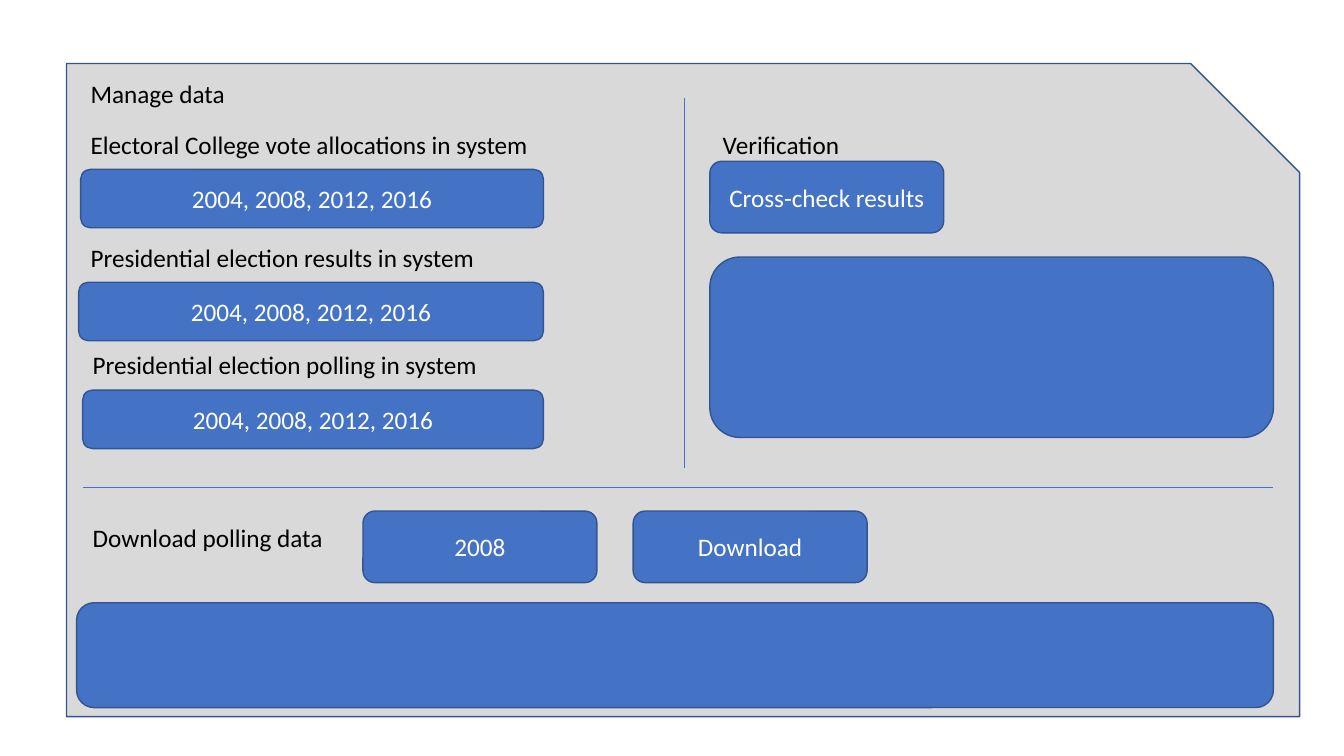
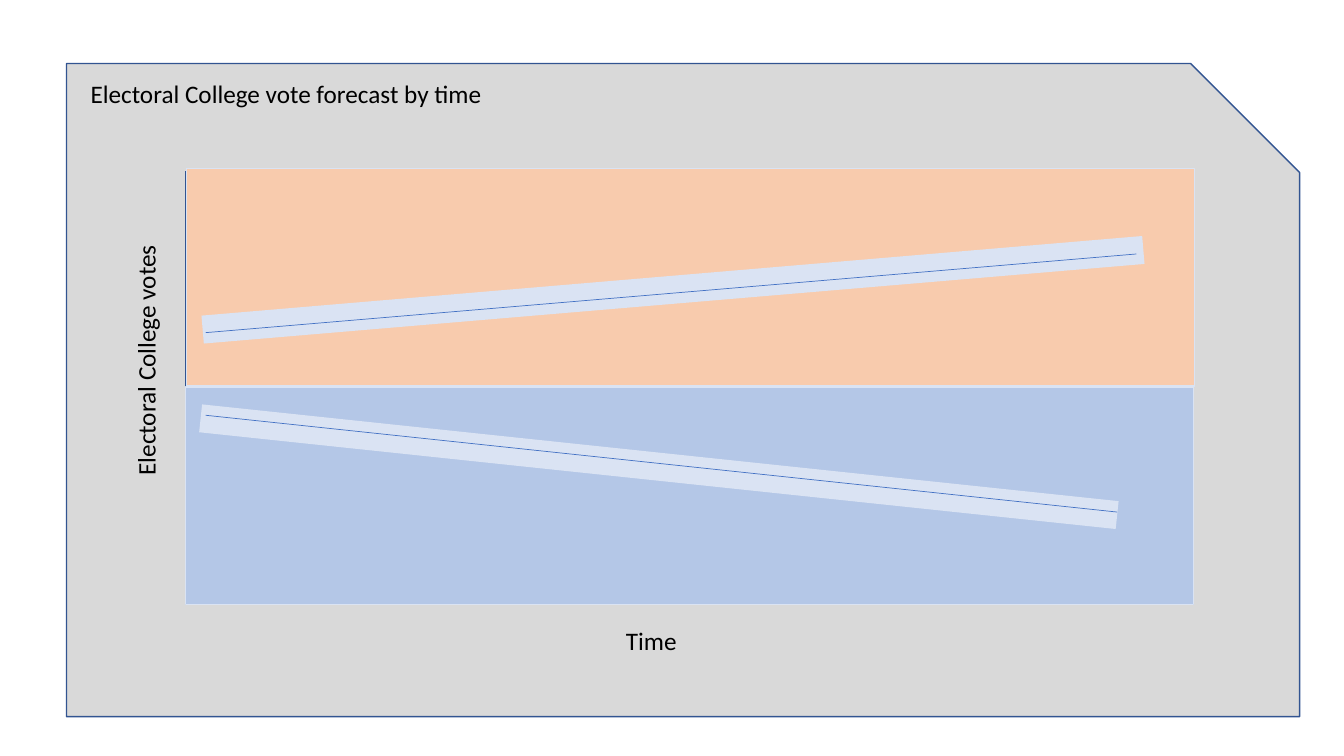
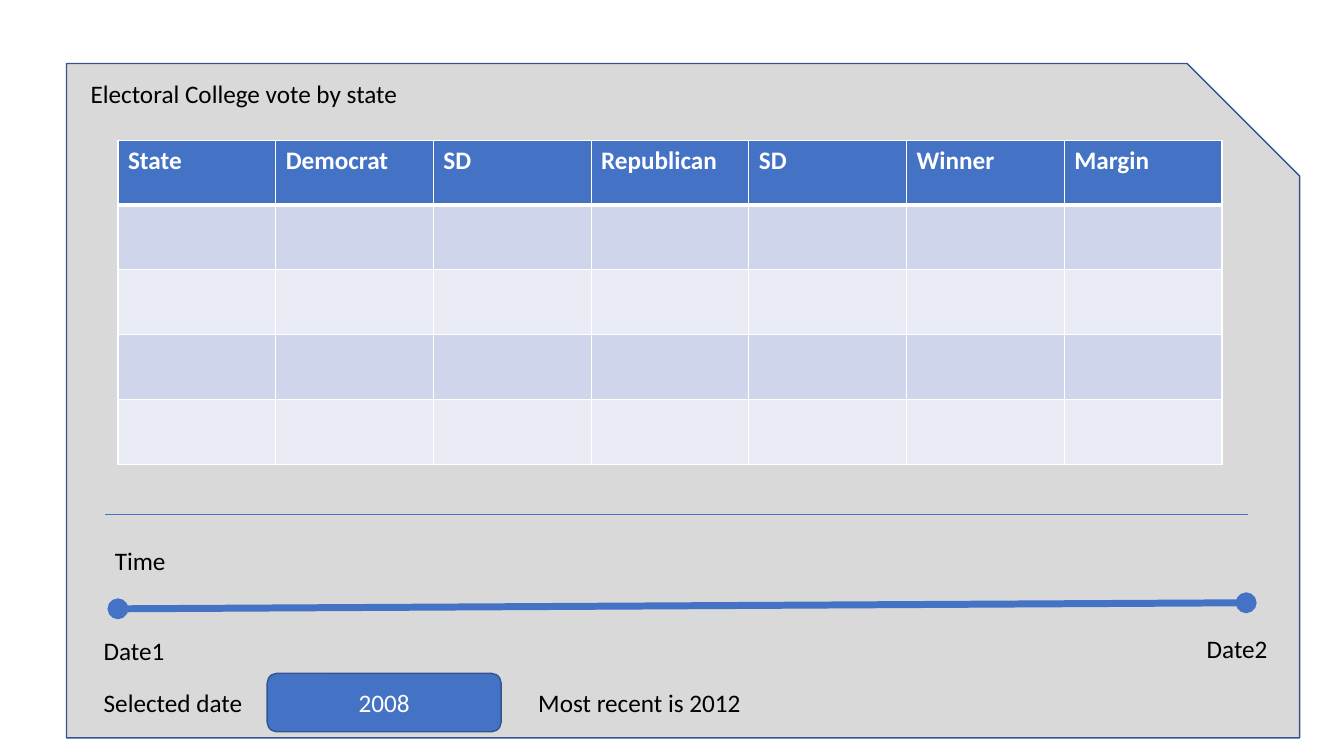
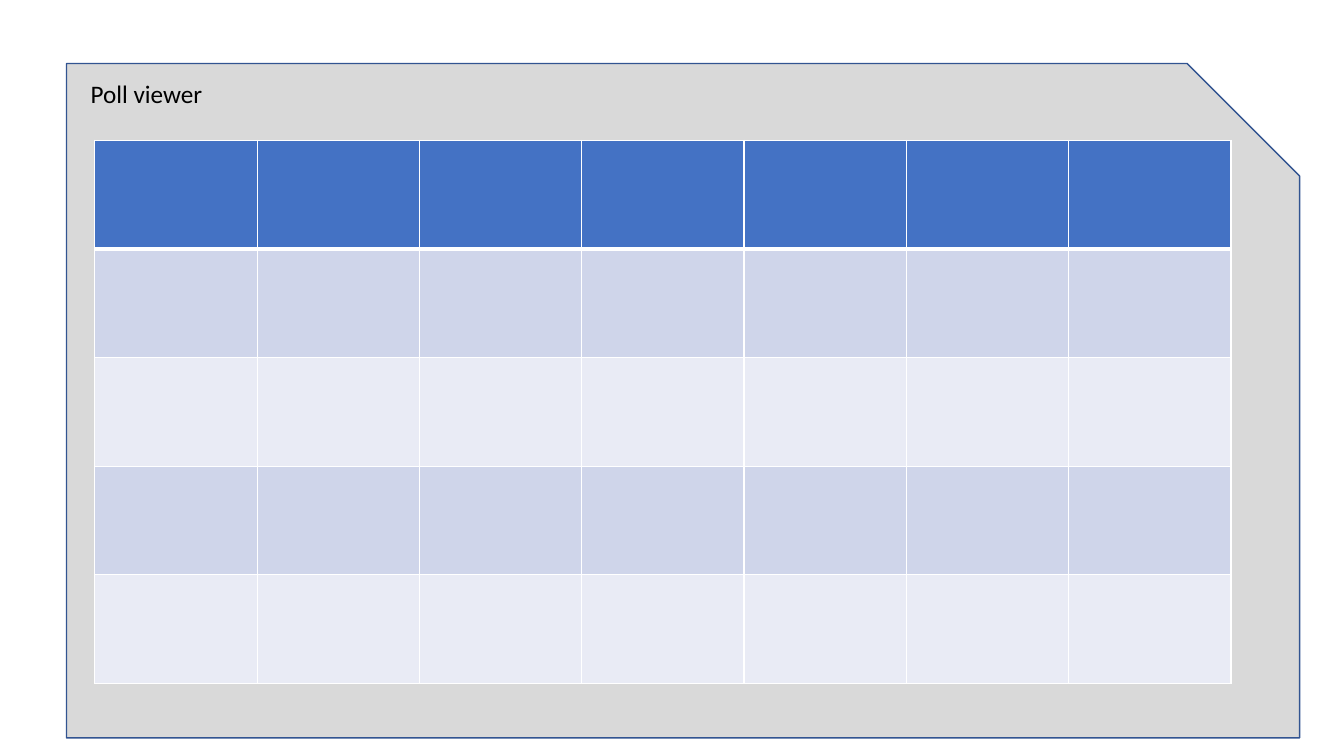
from dataclasses import dataclass

from lxml.etree import SubElement
from pptx import Presentation
from pptx.dml.color import RGBColor
from pptx.enum.shapes import MSO_CONNECTOR, MSO_SHAPE
from pptx.enum.text import MSO_ANCHOR, MSO_AUTO_SIZE, PP_ALIGN
from pptx.oxml.ns import qn
from pptx.util import Inches, Pt


@dataclass(frozen=True)
class Theme:
    font: str = "Calibri"
    text_size: float = 18
    outline_width: float = 1
    divider_width: float = 0.5
    header_rule_width: float = 3
    slider_width: float = 5
    band_width: float = 20
    text: str = "000000"
    white: str = "FFFFFF"
    panel: str = "D9D9D9"
    accent: str = "4472C4"
    outline: str = "325491"
    pale_blue: str = "DAE3F3"
    lower_area: str = "B4C7E7"
    upper_area: str = "F8CBAD"
    row_fills: tuple = ("CFD5EA", "E9EBF5")


@dataclass(frozen=True)
class Box:
    left: float
    top: float
    width: float
    height: float

    def inner(self, left, top, width, height):
        return Box(self.left + left, self.top + top, width, height)

    def lengths(self):
        return [Inches(n) for n in (self.left, self.top, self.width, self.height)]


THEME = Theme()
SHORT_PANEL = Box(0.66, 0.63, 12.23, 6.48)
TALL_PANEL = Box(0.66, 0.63, 12.23, 6.69)
TITLE_LEFT, TITLE_TOP, LABEL_HEIGHT = 0.14, 0.1, 0.4


def color(code):
    return RGBColor.from_string(code)


def write(frame, text, ink, bold=False):
    span = frame.paragraphs[0].add_run()
    span.text = text
    span.font.name = THEME.font
    span.font.size = Pt(THEME.text_size)
    span.font.bold = bold
    span.font.color.rgb = color(ink)


def add_label(page, box, text, wrap=False, rotation=0):
    label = page.shapes.add_textbox(*box.lengths())
    label.rotation = rotation
    frame = label.text_frame
    frame.word_wrap = wrap
    frame.auto_size = MSO_AUTO_SIZE.SHAPE_TO_FIT_TEXT
    write(frame, text, THEME.text)


def add_block(page, kind, box, fill, outline=THEME.outline):
    block = page.shapes.add_shape(kind, *box.lengths())
    block.shadow.inherit = False
    block.fill.solid()
    block.fill.fore_color.rgb = color(fill)
    block.line.color.rgb = color(outline)
    block.line.width = Pt(THEME.outline_width)
    return block


def add_button(page, box, text=""):
    button = add_block(page, MSO_SHAPE.ROUNDED_RECTANGLE, box, THEME.accent)
    if text:
        frame = button.text_frame
        frame.vertical_anchor = MSO_ANCHOR.MIDDLE
        frame.paragraphs[0].alignment = PP_ALIGN.CENTER
        write(frame, text, THEME.white)


def add_line(page, box, start, end, ink=THEME.accent, width=THEME.divider_width, ends=None):
    points = [Inches(n) for x, y in (start, end) for n in (box.left + x, box.top + y)]
    line = page.shapes.add_connector(MSO_CONNECTOR.STRAIGHT, *points)
    line.line.color.rgb = color(ink)
    line.line.width = Pt(width)
    properties = line.element.spPr
    if ends:
        for tag in ("a:headEnd", "a:tailEnd"):
            SubElement(properties.find(qn("a:ln")), qn(tag), type=ends)
    SubElement(properties, qn("a:effectLst"))
    return line


def add_panel(deck, box, title):
    page = deck.slides.add_slide(deck.slide_layouts[6])
    add_block(page, MSO_SHAPE.SNIP_1_RECTANGLE, box, THEME.panel)
    add_label(page, box.inner(TITLE_LEFT, TITLE_TOP, 4.12, LABEL_HEIGHT), title)
    return page


def add_border(cell, side, width):
    line = SubElement(cell._tc.get_or_add_tcPr(), qn(f"a:ln{side}"), w=str(Pt(width)))
    fill = SubElement(line, qn("a:solidFill"))
    SubElement(fill, qn("a:srgbClr"), val=THEME.white)


def add_grid(page, box, headings, row_count=5):
    table = page.shapes.add_table(row_count, len(headings), *box.lengths()).table
    table.first_row = False
    table.horz_banding = False
    for column in table.columns:
        column.width = Inches(box.width / len(headings))
    for row_index, row in enumerate(table.rows):
        row.height = Inches(box.height / row_count)
        for cell, heading in zip(row.cells, headings):
            heavy_side = {0: "B", 1: "T"}.get(row_index)
            for side in "LRTB":
                heavy = side == heavy_side
                add_border(cell, side, THEME.header_rule_width if heavy else THEME.outline_width)
            cell.fill.solid()
            fill = THEME.row_fills[(row_index - 1) % 2] if row_index else THEME.accent
            cell.fill.fore_color.rgb = color(fill)
            if row_index == 0 and heading:
                write(cell.text_frame, heading, THEME.white, bold=True)


def add_stored_data(page, box):
    sections = (
        ("Electoral College vote allocations in system", 0.02, 0, 0.02),
        ("Presidential election results in system", 0.02, 1.12, 0),
        ("Presidential election polling in system", 0.04, 2.19, 0.04),
    )
    for text, label_left, top, button_left in sections:
        add_label(page, box.inner(label_left, top, 4.59, LABEL_HEIGHT), text)
        button = box.inner(button_left, top + 0.45, box.width - button_left, 0.58)
        add_button(page, button, "2004, 2008, 2012, 2016")


def add_verification(page, box):
    add_label(page, box.inner(0.03, 0, 1.37, LABEL_HEIGHT), "Verification")
    add_button(page, box.inner(0, 0.37, 2.32, 0.71), "Cross-check results")
    add_button(page, box.inner(0, 1.32, box.width, 1.79))


def add_download(page, box):
    add_label(page, box.inner(0.06, 0.06, 2.51, LABEL_HEIGHT), "Download polling data")
    for index, text in enumerate(("2008", "Download")):
        add_button(page, box.inner(2.84 + index * 2.68, 0, 2.32, 0.71), text)
    add_button(page, box.inner(0, 0.91, box.width, 1.04))


def add_forecast(page, box):
    plot = add_block(page, MSO_SHAPE.RECTANGLE, box, THEME.white)
    middle = box.height / 2
    midline = add_line(page, box, (0, middle), (box.width, middle))
    midline.begin_connect(plot, 1)
    midline.end_connect(plot, 3)
    areas = ((0, 2.14, THEME.lower_area), (0.01, -0.03, THEME.upper_area))
    for left, top, fill in areas:
        area = box.inner(left, top, box.width, 2.16)
        add_block(page, MSO_SHAPE.RECTANGLE, area, fill, THEME.pale_blue)
    add_label(page, box.inner(4.27, 4.45, 0.74, LABEL_HEIGHT), "Time", wrap=True)
    add_label(page, box.inner(-1.75, 1.56, 2.71, LABEL_HEIGHT),
              "Electoral College votes", wrap=True, rotation=270)
    trends = (
        ((0.17, 1.57), (9.5, 0.78), (0.2, 1.6), (9.43, 0.82)),
        ((0.15, 2.45), (9.24, 3.41), (0.2, 2.42), (9.24, 3.38)),
    )
    for band_start, band_end, start, end in trends:
        add_line(page, box, band_start, band_end, THEME.pale_blue, THEME.band_width)
        add_line(page, box, start, end)


def add_timeline(page, box):
    labels = (
        ("Time", 0.11, 0, 0.71),
        ("Date1", 0, 0.89, 0.81),
        ("Date2", 10.94, 0.87, 0.81),
        ("Selected date", 0, 1.41, 1.59),
        ("Most recent is 2012", 4.31, 1.41, 2.23),
    )
    for text, left, top, width in labels:
        add_label(page, box.inner(left, top, width, LABEL_HEIGHT), text)
    add_line(page, box, (0.24, 0.68), (11.43, 0.62), width=THEME.slider_width, ends="oval")
    add_button(page, box.inner(1.72, 1.32, 2.32, 0.58), "2008")


def build_manage_data(deck, box):
    page = add_panel(deck, box, "Manage data")
    add_stored_data(page, box.inner(0.12, 0.6, 4.61, 3.22))
    add_verification(page, box.inner(6.38, 0.6, 5.59, 3.11))
    add_line(page, box, (6.13, 0.34), (6.13, 4.01))
    add_line(page, box, (0.16, 4.21), (11.97, 4.21))
    add_download(page, box.inner(0.1, 4.44, 11.87, 1.95))


def build_forecast(deck, box):
    page = add_panel(deck, box, "Electoral College vote forecast by time")
    add_forecast(page, box.inner(1.18, 1.07, 10, 4.3))


def build_state_votes(deck, box):
    page = add_panel(deck, box, "Electoral College vote by state")
    headings = ("State", "Democrat", "SD", "Republican", "SD", "Winner", "Margin")
    add_grid(page, box.inner(0.51, 0.76, 10.95, 3.22), headings)
    add_line(page, box, (0.38, 4.47), (11.72, 4.47))
    add_timeline(page, box.inner(0.27, 4.73, 11.75, 1.9))


def build_poll_viewer(deck, box):
    page = add_panel(deck, box, "Poll viewer")
    add_grid(page, box.inner(0.28, 0.76, 11.27, 5.39), ("",) * 7)


def main():
    deck = Presentation()
    deck.slide_width = Inches(13.33)
    deck.slide_height = Inches(7.5)
    build_manage_data(deck, SHORT_PANEL)
    build_forecast(deck, SHORT_PANEL)
    build_state_votes(deck, TALL_PANEL)
    build_poll_viewer(deck, TALL_PANEL)
    deck.save("out.pptx")


if __name__ == "__main__":
    main()
